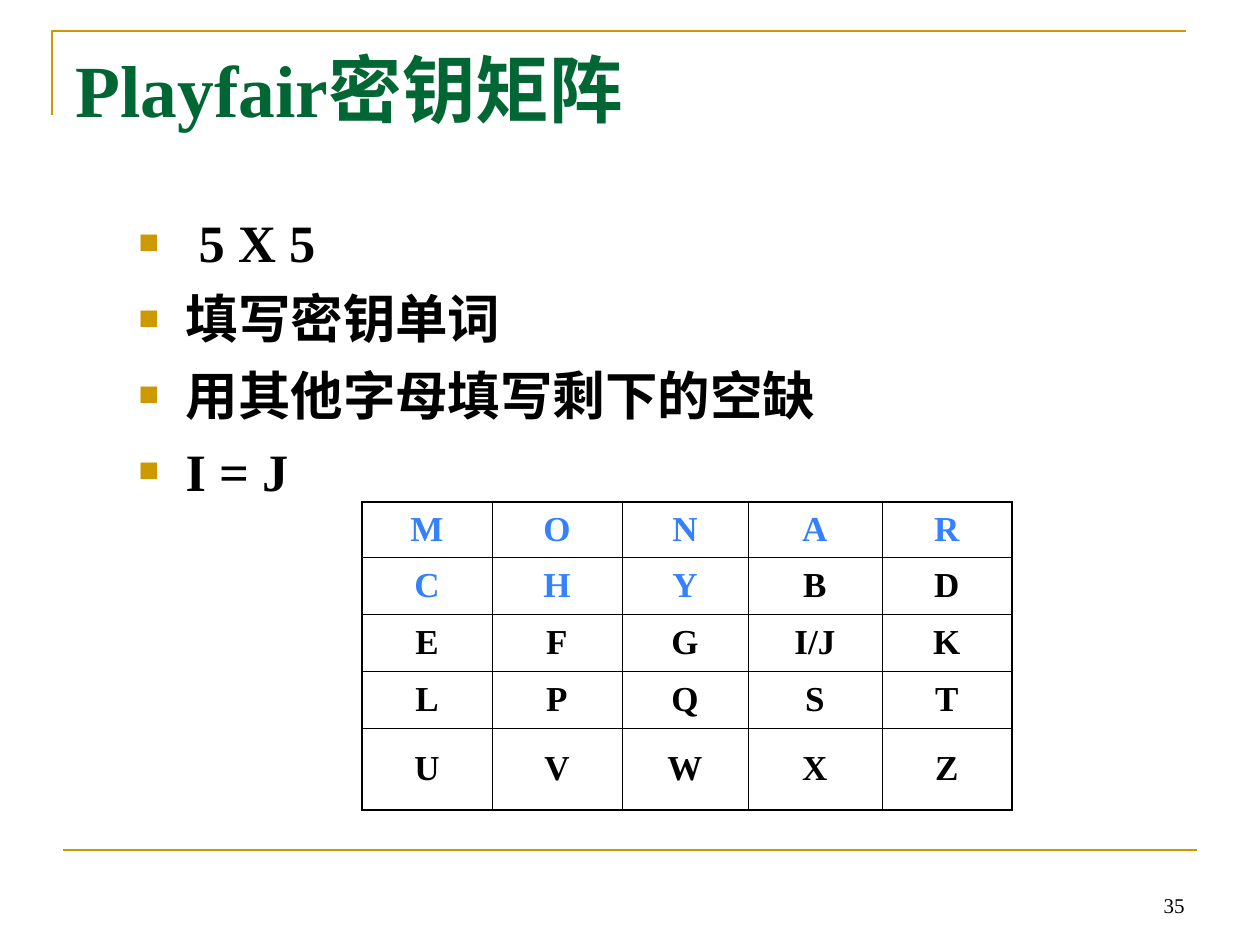
from lxml.etree import SubElement
from pptx import Presentation
from pptx.dml.color import RGBColor
from pptx.enum.shapes import MSO_CONNECTOR as Connector
from pptx.enum.text import MSO_ANCHOR as Anchor, PP_ALIGN as Align
from pptx.oxml.ns import qn
from pptx.util import Emu, Pt

PX_PER_INCH = 126
GOLD = RGBColor(0xCC, 0x99, 0x00)
GREEN = RGBColor(0x00, 0x66, 0x33)
BLUE = RGBColor(0x35, 0x81, 0xFD)
BLACK = RGBColor(0x00, 0x00, 0x00)
FONT = "Times New Roman"

BULLETS = [" 5 X 5", "填写密钥单词", "用其他字母填写剩下的空缺", "I = J"]
KEYWORD = "MONARCHY"
KEY_MATRIX = [
    ["M", "O", "N", "A", "R"],
    ["C", "H", "Y", "B", "D"],
    ["E", "F", "G", "I/J", "K"],
    ["L", "P", "Q", "S", "T"],
    ["U", "V", "W", "X", "Z"],
]
COLUMN_WIDTHS = [130, 130, 126, 134, 130]
ROW_HEIGHTS = [55, 57, 57, 57, 82]


def px(length):
    return Emu(round(length * 914400 / PX_PER_INCH))


def set_attributes(target, values):
    for name, value in values.items():
        setattr(target, name, value)


def place(shape, left, top, width, height):
    set_attributes(shape, {"left": px(left), "top": px(top),
                           "width": px(width), "height": px(height)})


def write(para, text, size, color, bold=True):
    span = para.add_run()
    span.text = text
    set_attributes(span.font, {"name": FONT, "size": Pt(size), "bold": bold})
    span.font.color.rgb = color


def add_bullet(para):
    props = para._p.get_or_add_pPr()
    props.set("marL", str(px(47)))
    props.set("indent", str(-px(47)))
    color = SubElement(props, qn("a:buClr"))
    SubElement(color, qn("a:srgbClr"), val=str(GOLD))
    SubElement(props, qn("a:buSzPct"), val="65000")
    SubElement(props, qn("a:buFont"), typeface=FONT)
    SubElement(props, qn("a:buChar"), char="■")


def add_frame_lines(page):
    # Corner bracket around the title
    builder = page.shapes.build_freeform(px(52), px(115), scale=1.0)
    builder.add_line_segments([(px(52), px(31)), (px(1186), px(31))], close=False)
    bracket = builder.convert_to_shape()
    bracket.shadow.inherit = False
    bracket.fill.background()

    # Footer rule
    rule = page.shapes.add_connector(
        Connector.STRAIGHT, px(63), px(850), px(1197), px(850))
    SubElement(rule._element.spPr, qn("a:effectLst"))

    for shape in (bracket, rule):
        shape.line.color.rgb = GOLD
        shape.line.width = Pt(1.5)


def fill_title(page):
    title = page.shapes.title
    place(title, 63, 38, 1134, 158)
    title.text_frame.vertical_anchor = Anchor.TOP
    para = title.text_frame.paragraphs[0]
    para.alignment = Align.LEFT
    write(para, "Playfair密钥矩阵", 42, GREEN)


def fill_bullets(page):
    body = page.placeholders[1]
    place(body, 126, 204, 1134, 374)
    frame = body.text_frame
    frame.vertical_anchor = Anchor.TOP
    for index, text in enumerate(BULLETS):
        para = frame.add_paragraph() if index else frame.paragraphs[0]
        para.space_before = Pt(7.5 if index else 0)
        add_bullet(para)
        write(para, text, 30, BLACK)


def set_borders(cell, widths):
    props = cell._tc.get_or_add_tcPr()
    for index, (side, width) in enumerate(widths.items()):
        border = props.makeelement(qn(f"a:{side}"), {"w": str(Pt(width))})
        fill = SubElement(border, qn("a:solidFill"))
        SubElement(fill, qn("a:srgbClr"), val=str(BLACK))
        props.insert(index, border)


def add_key_table(page):
    last = len(KEY_MATRIX) - 1
    table = page.shapes.add_table(
        last + 1, last + 1, px(362), px(502),
        px(sum(COLUMN_WIDTHS)), px(sum(ROW_HEIGHTS))).table
    set_attributes(table, {"first_row": False, "horz_banding": False})
    for column, width in zip(table.columns, COLUMN_WIDTHS):
        column.width = px(width)
    for row, height in zip(table.rows, ROW_HEIGHTS):
        row.height = px(height)

    for r, letters in enumerate(KEY_MATRIX):
        for c, letter in enumerate(letters):
            cell = table.cell(r, c)
            cell.vertical_anchor = Anchor.MIDDLE
            cell.fill.background()
            outer = {"lnL": c == 0, "lnR": c == last,
                     "lnT": r == 0, "lnB": r == last}
            set_borders(cell, {side: 1.08 if edge else 0.45
                               for side, edge in outer.items()})
            para = cell.text_frame.paragraphs[0]
            para.alignment = Align.CENTER
            write(para, letter, 20, BLUE if letter in KEYWORD else BLACK)


def add_page_number(page):
    box = page.shapes.add_textbox(px(903), px(861), px(294), px(63))
    set_attributes(box.text_frame, {"word_wrap": True,
                                    "vertical_anchor": Anchor.BOTTOM})
    para = box.text_frame.paragraphs[0]
    para.alignment = Align.RIGHT
    write(para, "35", 12, BLACK, bold=False)


def main():
    deck = Presentation()
    set_attributes(deck, {"slide_width": px(1260), "slide_height": px(945)})
    page = deck.slides.add_slide(deck.slide_layouts[1])
    add_frame_lines(page)
    fill_title(page)
    fill_bullets(page)
    add_key_table(page)
    add_page_number(page)
    deck.save("out.pptx")


if __name__ == "__main__":
    main()
